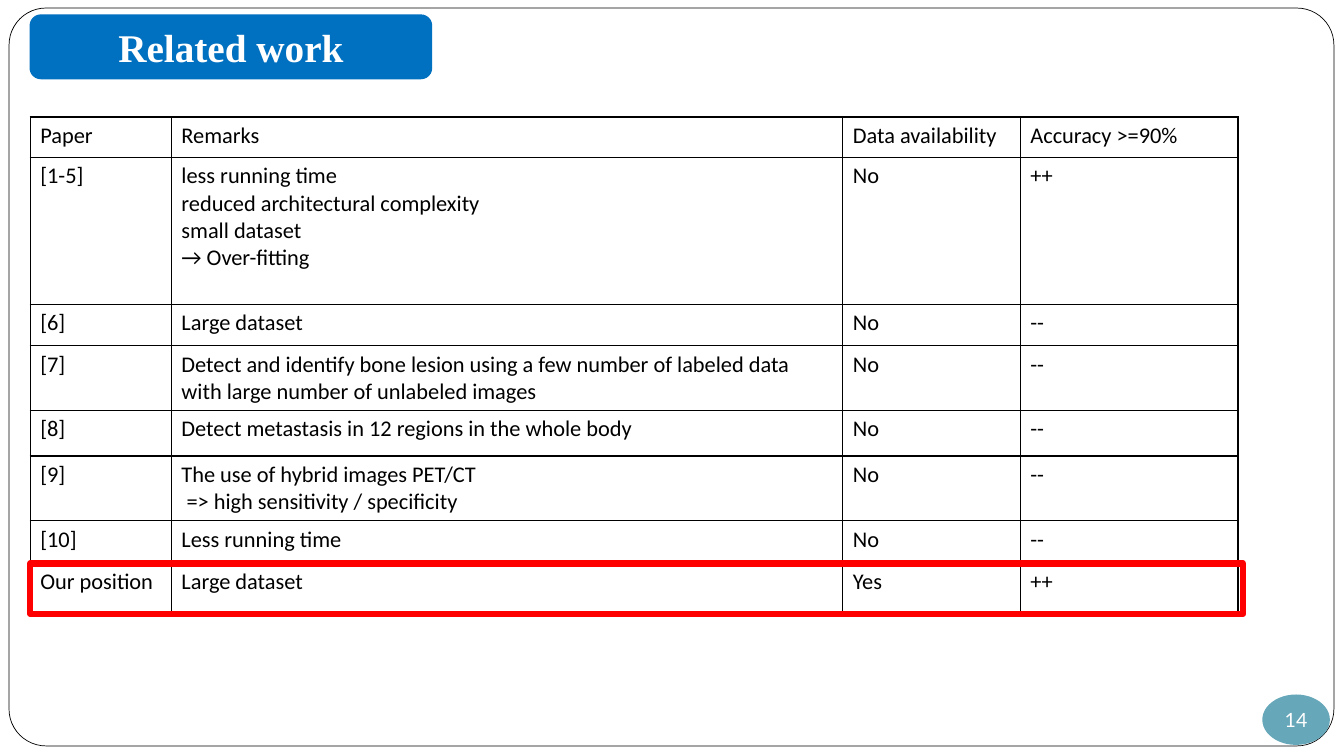
from dataclasses import dataclass
from lxml import etree
from pptx import Presentation
from pptx import util as u
from pptx.dml import color
from pptx.enum import shapes, text
from pptx.oxml import ns


@dataclass(frozen=True)
class Theme:
    white: str = "FFFFFF"
    black: str = "000000"
    title: str = "0070C0"
    badge: str = "66A7B9"
    highlight: str = "FF0000"
    title_font: str = "Times New Roman"
    body_font: str = "Calibri"
    badge_font: str = "Lato"
    title_size: int = 28
    body_size: int = 16
    badge_size: int = 14


T = Theme()
COLUMNS = [1.4, 6.66, 1.76, 2.16]
HEADER = ("Paper", ["Remarks"], "Data availability", "Accuracy >=90%")
PAPERS = [
    (0.4, HEADER),
    (1.46, ("[1-5]", ["less running time", "reduced architectural complexity",
                      "small dataset", "→ Over-fitting"], "No", "++")),
    (0.41, ("[6]", ["Large dataset"], "No", "--")),
    (0.64, ("[7]", ["Detect and identify bone lesion using a few number of labeled data "
                    "with large number of unlabeled images"], "No", "--")),
    (0.45, ("[8]", ["Detect metastasis in 12 regions in the whole body"], "No", "--")),
    (0.64, ("[9]", ["The use of hybrid images PET/CT",
                    " => high sensitivity / specificity"], "No", "--")),
    (0.42, ("[10]", ["Less running time"], "No", "--")),
    (0.49, ("Our position", ["Large dataset"], "Yes", "++")),
]


def rgb(value):
    return color.RGBColor.from_string(value)


def add_run(p, words, font, size, ink, bold=False):
    r = p.add_run()
    r.text = words
    r.font.name = font
    r.font.size = u.Pt(size)
    r.font.bold = bold
    r.font.color.rgb = rgb(ink)


def add_box(s, kind, box, fill=None, line=None, width=1):
    sp = s.shapes.add_shape(kind, *map(u.Inches, box))
    sp.shadow.inherit = False
    if fill:
        sp.fill.solid()
        sp.fill.fore_color.rgb = rgb(fill)
    else:
        sp.fill.background()
    if line:
        sp.line.color.rgb = rgb(line)
        sp.line.width = u.Pt(width)
    else:
        sp.line.fill.background()
    return sp


def add_label(sp, words, font, size, bold=False):
    tf = sp.text_frame
    tf.vertical_anchor = text.MSO_ANCHOR.MIDDLE
    p = tf.paragraphs[0]
    p.alignment = text.PP_ALIGN.CENTER
    add_run(p, words, font, size, T.white, bold)


def add_frame(s, box):
    sp = add_box(s, shapes.MSO_SHAPE.ROUNDED_RECTANGLE, box, T.white, T.black, 0.5)
    sp.adjustments[0] = 0.05


def add_title(s, box, words):
    sp = add_box(s, shapes.MSO_SHAPE.ROUNDED_RECTANGLE, box, T.title, T.title)
    add_label(sp, words, T.title_font, T.title_size, True)


def add_page_badge(s, box, number):
    sp = add_box(s, shapes.MSO_SHAPE.OVAL, box, T.badge)
    tf = sp.text_frame
    tf.margin_left = tf.margin_right = tf.margin_top = tf.margin_bottom = 0
    tf.word_wrap = False
    add_label(sp, number, T.badge_font, T.badge_size)


def add_borders(cell):
    props = cell._tc.get_or_add_tcPr()
    for i, side in enumerate(("lnL", "lnR", "lnT", "lnB")):
        ln = etree.Element(ns.qn(f"a:{side}"), w=str(u.Pt(1)))
        fill = etree.SubElement(ln, ns.qn("a:solidFill"))
        etree.SubElement(fill, ns.qn("a:srgbClr"), val=T.black)
        props.insert(i, ln)


def fill_cell(cell, lines):
    cell.fill.background()
    add_borders(cell)
    tf = cell.text_frame
    for i, words in enumerate(lines):
        p = tf.add_paragraph() if i else tf.paragraphs[0]
        add_run(p, words, T.body_font, T.body_size, T.black)


def add_comparison(s, box):
    left, top, width, height = box
    table = s.shapes.add_table(len(PAPERS), len(COLUMNS), *map(u.Inches, box)).table
    table.first_row = table.horz_banding = False
    for column, size in zip(table.columns, COLUMNS):
        column.width = u.Inches(size)
    for i, (size, values) in enumerate(PAPERS):
        table.rows[i].height = u.Inches(size)
        for j, value in enumerate(values):
            fill_cell(table.cell(i, j), [value] if isinstance(value, str) else value)
    mark = (left, top + height - 0.48, width + 0.05, 0.5)
    add_box(s, shapes.MSO_SHAPE.RECTANGLE, mark, line=T.highlight, width=4.5)


def main():
    prs = Presentation()
    prs.slide_width, prs.slide_height = u.Inches(13.33), u.Inches(7.5)
    s = prs.slides.add_slide(prs.slide_layouts[6])
    add_frame(s, (0.09, 0.08, 13.14, 7.32))
    add_title(s, (0.3, 0.15, 3.98, 0.63), "Related work")
    add_page_badge(s, (12.52, 6.89, 0.67, 0.5), "14")
    add_comparison(s, (0.3, 1.16, 11.98, 4.91))
    prs.save("out.pptx")


if __name__ == "__main__":
    main()
